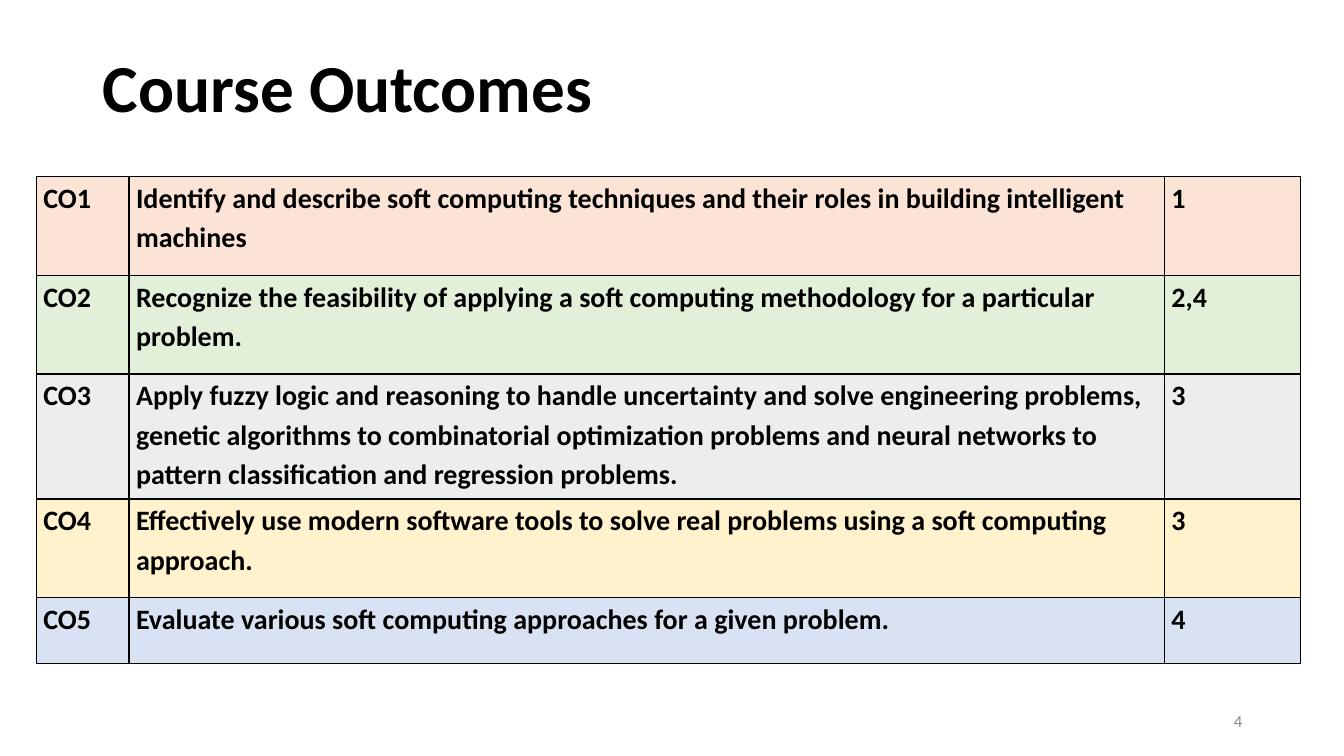
from lxml import etree
from pptx import Presentation
from pptx.dml.color import RGBColor
from pptx.enum.text import MSO_ANCHOR as ANCHOR, PP_ALIGN as ALIGN
from pptx.oxml.ns import qn
from pptx.util import Pt

TITLE = "Course Outcomes"
PAGE = "4"
BLACK = RGBColor(0x00, 0x00, 0x00)
GREY = RGBColor(0x88, 0x88, 0x88)
PEACH = RGBColor(0xFB, 0xE4, 0xD5)
GREEN = RGBColor(0xE2, 0xEF, 0xD9)
SILVER = RGBColor(0xED, 0xED, 0xED)
YELLOW = RGBColor(0xFF, 0xF2, 0xCC)
BLUE = RGBColor(0xD9, 0xE2, 0xF3)

OUTCOMES = [
    ("CO1", "Identify and describe soft computing techniques and their roles "
     "in building intelligent machines", "1", PEACH, 98),
    ("CO2", "Recognize the feasibility of applying a soft computing "
     "methodology for a particular problem.", "2,4", GREEN, 98),
    ("CO3", "Apply fuzzy logic and reasoning to handle uncertainty and solve "
     "engineering problems, genetic algorithms to combinatorial optimization "
     "problems and neural networks to pattern classification and regression "
     "problems.", "3", SILVER, 124),
    ("CO4", "Effectively use modern software tools to solve real problems "
     "using a soft computing approach.", "3", YELLOW, 98),
    ("CO5", "Evaluate various soft computing approaches for a given problem.",
     "4", BLUE, 65),
]
COLS = [92, 1027, 135]
HEIGHTS = [row[-1] for row in OUTCOMES]
FONT = "Calibri"
PX = 9144


def px(*lengths):
    return [n * PX for n in lengths]


def write(tf, text, size, color, bold, spacing=1.0, align=ALIGN.LEFT):
    p = tf.paragraphs[0]
    p.alignment = align
    p.line_spacing = spacing
    r = p.add_run()
    r.text = text
    f = r.font
    f.name, f.size, f.bold = FONT, Pt(size), bold
    f.color.rgb = color
    return p


def add_label(s, box, anchor, *args):
    tf = s.shapes.add_textbox(*px(*box)).text_frame
    tf.word_wrap = True
    tf.vertical_anchor = anchor
    write(tf, *args)


def add_borders(cell):
    pr = cell._tc.get_or_add_tcPr()
    for i, side in enumerate(("lnL", "lnR", "lnT", "lnB")):
        ln = etree.Element(qn("a:" + side), w=str(Pt(1)))
        fill = etree.SubElement(ln, qn("a:solidFill"))
        etree.SubElement(fill, qn("a:srgbClr"), val=str(BLACK))
        pr.insert(i, ln)


def add_outcomes(s):
    frame = s.shapes.add_table(len(OUTCOMES), len(COLS),
                               *px(36, 175, sum(COLS), sum(HEIGHTS)))
    table = frame.table
    table.first_row = table.horz_banding = False
    for col, width in zip(table.columns, COLS):
        col.width = width * PX
    for row, (*texts, color, height) in zip(table.rows, OUTCOMES):
        row.height = height * PX
        for i, (cell, text) in enumerate(zip(row.cells, texts)):
            cell.margin_left = cell.margin_right = 7 * PX
            cell.margin_top = cell.margin_bottom = 0
            cell.fill.solid()
            cell.fill.fore_color.rgb = color
            add_borders(cell)
            p = write(cell.text_frame, text, 20, BLACK, True, 1.15)
            if i != 1 or text == OUTCOMES[-1][1]:
                p.space_after = Pt(10)


def main():
    prs = Presentation()
    prs.slide_width, prs.slide_height = px(1333, 750)
    s = prs.slides.add_slide(prs.slide_layouts[6])
    add_label(s, (92, 50, 738, 81), ANCHOR.BOTTOM, TITLE, 48, BLACK, True, 0.9)
    add_label(s, (942, 695, 300, 40), ANCHOR.MIDDLE, PAGE, 12, GREY, False,
              1.0, ALIGN.RIGHT)
    add_outcomes(s)
    prs.save("out.pptx")


if __name__ == "__main__":
    main()
